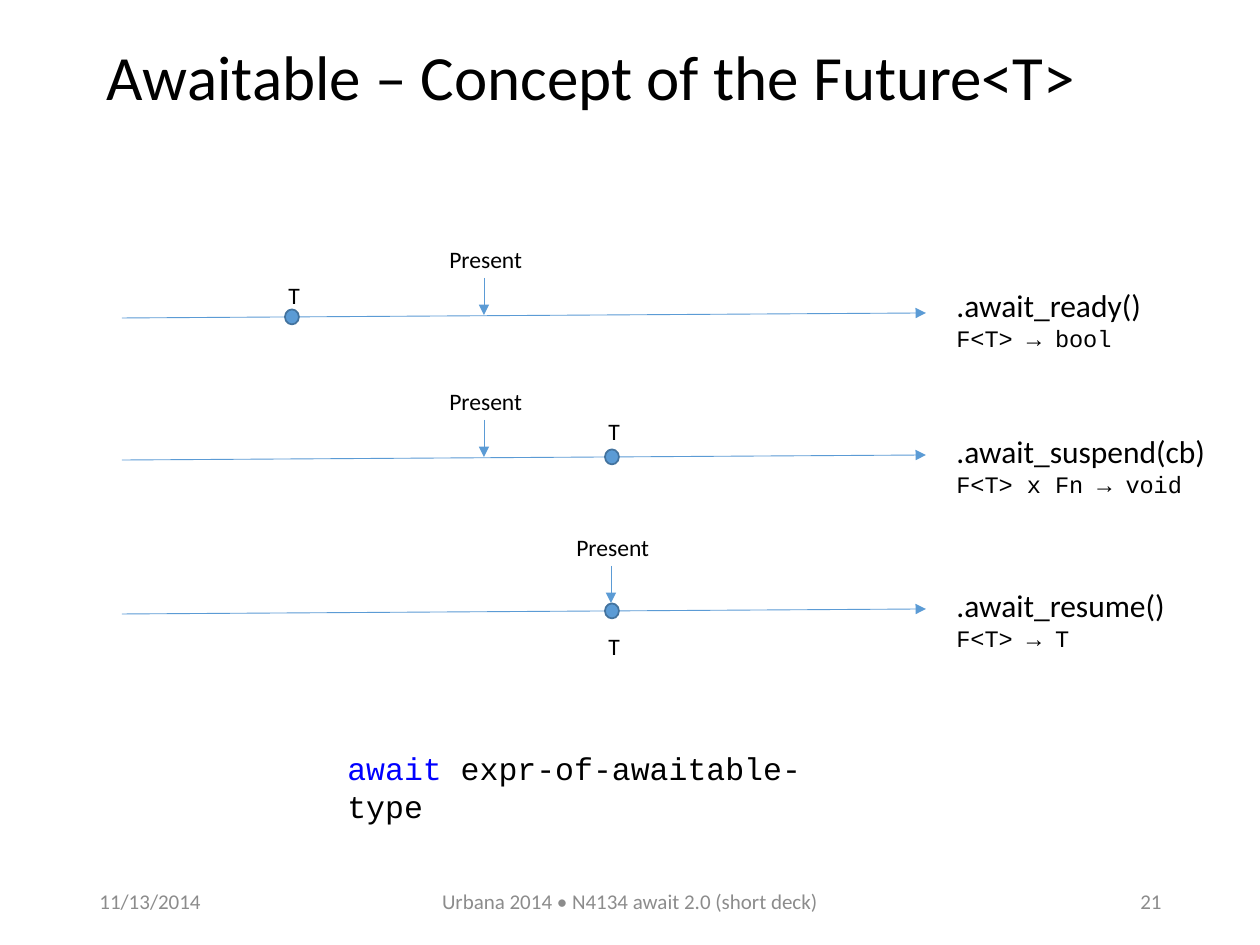
import pptx
import pptx.util
from lxml import etree
from pptx.dml.color import RGBColor
from pptx.enum.shapes import MSO_CONNECTOR, MSO_SHAPE
from pptx.enum.text import MSO_ANCHOR, PP_ALIGN
from pptx.oxml.ns import qn

PX = 914400 / 126
COLORS = {"text": "000000", "footer": "8C8C8C", "keyword": "0000FF",
          "axis": "5B9BD5", "dot_line": "43739E"}
SANS, MONO = "Calibri", "Courier New"

TITLE = "Awaitable – Concept of the Future<T>"
FOOTERS = [
    ("11/13/2014", 87, 284, PP_ALIGN.LEFT),
    ("Urbana 2014 • N4134 await 2.0 (short deck)", 417, 426, PP_ALIGN.CENTER),
    ("21", 890, 284, PP_ALIGN.RIGHT),
]
# y is where the axis starts; the label tops and arrow tip are relative to it
TIMELINES = [
    dict(method=".await_ready()", signature="F<T> → bool", y=318,
         method_top=-38, method_w=212, present=484, tip=-3, t=292, t_top=-43),
    dict(method=".await_suspend(cb)", signature="F<T> x Fn → void", y=460,
         method_top=-34, method_w=277, present=484, tip=-3, t=612, t_top=-49),
    dict(method=".await_resume()", signature="F<T> → T", y=614,
         method_top=-34, method_w=237, present=611, tip=-11, t=612, t_top=12),
]
AXIS_LEFT, AXIS_RIGHT, AXIS_RISE = 122, 926, 5
ARROW_LENGTH, DOT_W, DOT_H = 37, 14, 15


def emu(*lengths):
    return [round(length * PX) for length in lengths]


def rgb(name):
    return RGBColor.from_string(COLORS[name])


def add_text(shapes, box, *runs, align=PP_ALIGN.LEFT, anchor=MSO_ANCHOR.TOP,
             wrap=False, spacing=None):
    """Each run is (text, size, font, color); a final newline breaks the line."""
    tf = shapes.add_textbox(*emu(*box)).text_frame
    tf.word_wrap = wrap
    tf.vertical_anchor = anchor
    p = tf.paragraphs[0]
    p.alignment = align
    p.line_spacing = spacing
    for text, size, font, color in runs:
        r = p.add_run()
        r.text = text.rstrip("\n")
        r.font.size = pptx.util.Pt(size)
        r.font.name = font
        r.font.color.rgb = rgb(color)
        if text.endswith("\n"):
            p.add_line_break()


def add_arrow(shapes, *ends):
    line = shapes.add_connector(MSO_CONNECTOR.STRAIGHT, *emu(*ends))
    line.line.color.rgb = rgb("axis")
    line.line.width = pptx.util.Pt(0.5)
    etree.SubElement(line.line._get_or_add_ln(), qn("a:tailEnd"), type="triangle")
    etree.SubElement(line._element.spPr, qn("a:effectLst"))


def add_dot(shapes, x, y):
    box = emu(x - DOT_W / 2, y - DOT_H / 2, DOT_W, DOT_H)
    sp = shapes.add_shape(MSO_SHAPE.OVAL, *box)
    sp.shadow.inherit = False
    sp.fill.solid()
    sp.fill.fore_color.rgb = rgb("axis")
    sp.line.color.rgb = rgb("dot_line")
    sp.line.width = pptx.util.Pt(1)


def add_timeline(slide, row):
    y, present, t = row["y"], row["present"], row["t"]
    add_text(slide.shapes, (944, y + row["method_top"], row["method_w"], 79),
             (row["method"] + "\n", 18, SANS, "text"),
             (row["signature"], 13.5, MONO, "text"))
    shapes = slide.shapes.add_group_shape().shapes
    add_arrow(shapes, AXIS_LEFT, y, AXIS_RIGHT, y - AXIS_RISE)
    rise = AXIS_RISE * (t - AXIS_LEFT) / (AXIS_RIGHT - AXIS_LEFT)
    add_dot(shapes, t, y - rise)
    tip = y + row["tip"]
    add_arrow(shapes, present, tip - ARROW_LENGTH, present, tip)
    add_text(shapes, (present - 47, tip - ARROW_LENGTH - 39, 100, 42),
             ("Present", 13.5, SANS, "text"))
    add_text(shapes, (t - 16, y + row["t_top"], 36, 42),
             ("T", 13.5, SANS, "text"))


def main():
    prs = pptx.Presentation()
    prs.slide_width, prs.slide_height = emu(1260, 945)
    slide = prs.slides.add_slide(prs.slide_layouts[6])
    add_text(slide.shapes, (94, 34, 1086, 93), (TITLE, 36, SANS, "text"),
             anchor=MSO_ANCHOR.MIDDLE, wrap=True, spacing=0.9)
    for text, left, width, align in FOOTERS:
        add_text(slide.shapes, (left, 876, width, 50), (text, 12, SANS, "footer"),
                 align=align, anchor=MSO_ANCHOR.MIDDLE, wrap=True)
    for row in TIMELINES:
        add_timeline(slide, row)
    add_text(slide.shapes, (335, 743, 514, 50), ("await", 18, MONO, "keyword"),
             (" expr-of-awaitable-type", 18, MONO, "text"), wrap=True)
    prs.save("out.pptx")


if __name__ == "__main__":
    main()
